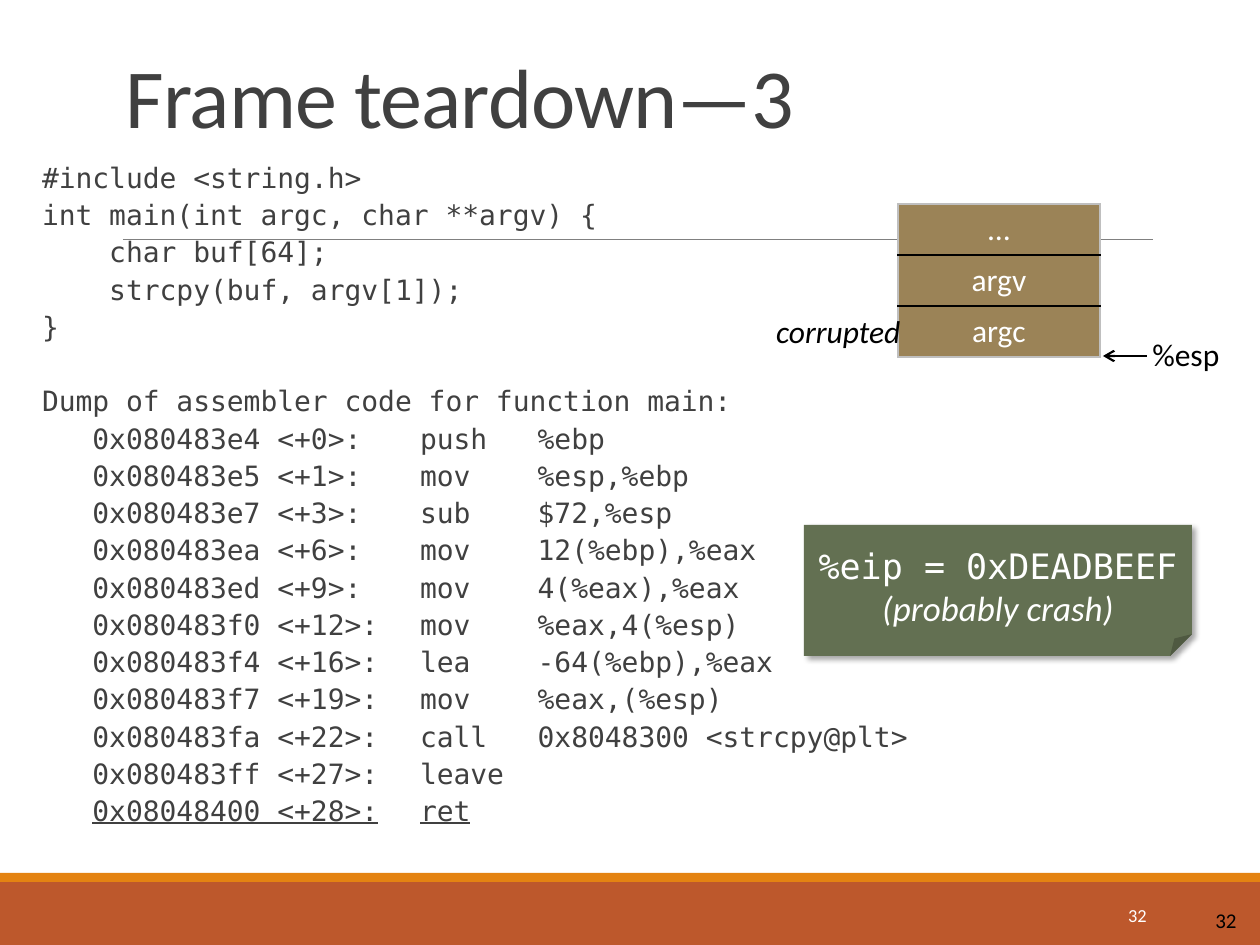
from lxml import etree
from pptx import Presentation, util as u
from pptx.dml.color import RGBColor
from pptx.enum import shapes, text
from pptx.oxml import ns

PX = 7257
SANS, MONO = "Calibri", "DejaVu Sans Mono"
LEFT, CENTER, RIGHT = text.PP_ALIGN.LEFT, text.PP_ALIGN.CENTER, text.PP_ALIGN.RIGHT
TOP, MIDDLE, BOTTOM = text.MSO_ANCHOR.TOP, text.MSO_ANCHOR.MIDDLE, text.MSO_ANCHOR.BOTTOM


def paint(fill, color):
    fill.solid()
    fill.fore_color.rgb = RGBColor.from_string(color)


def write(paragraph, words, size=18, color="000000", font=SANS, align=LEFT,
          italic=False, underline=False):
    paragraph.alignment = align
    run = paragraph.add_run()
    run.text = words
    run.font.name = font
    run.font.size = u.Pt(size)
    run.font.italic = italic
    run.font.underline = underline
    paint(run.font.fill, color)
    return run


presentation = Presentation()
presentation.slide_width = 1260 * PX
presentation.slide_height = 945 * PX
slide = presentation.slides.add_slide(presentation.slide_layouts[6])

for top, height, color in [(882, 63, "BD582C"), (873, 9, "E48312")]:
    band = slide.shapes.add_shape(shapes.MSO_SHAPE.RECTANGLE, 0, top * PX, 1260 * PX, height * PX)
    band.shadow.inherit = False
    paint(band.fill, color)
    band.line.fill.background()

connectors = []
for x1, y1, x2, y2, color, width in [
    (123, 239, 1153, 239, "808080", 0.5),
    (1147, 356, 1103, 356, "000000", 1.25),
]:
    connector = slide.shapes.add_connector(
        shapes.MSO_CONNECTOR.STRAIGHT, x1 * PX, y1 * PX, x2 * PX, y2 * PX)
    paint(connector.line.fill, color)
    connector.line.width = u.Pt(width)
    etree.SubElement(connector._element.spPr, ns.qn("a:effectLst"))
    connectors.append(connector)
etree.SubElement(connectors[1].line._get_or_add_ln(), ns.qn("a:tailEnd"), type="arrow")

title = slide.shapes.add_textbox(113 * PX, 39 * PX, 1040 * PX, 200 * PX)
title.text_frame.word_wrap = True
title.text_frame.vertical_anchor = BOTTOM
title.text_frame.margin_bottom = 93 * PX
paragraph = title.text_frame.paragraphs[0]
paragraph.line_spacing = 0.85
run = write(paragraph, "Frame teardown—3", size=48, color="404040")
run.font._element.set("spc", "-50")

source = """#include <string.h>
int main(int argc, char **argv) {
    char buf[64];
    strcpy(buf, argv[1]);
}"""
dump = """Dump of assembler code for function main:
   0x080483e4 <+0>:\tpush   %ebp
   0x080483e5 <+1>:\tmov    %esp,%ebp
   0x080483e7 <+3>:\tsub    $72,%esp
   0x080483ea <+6>:\tmov    12(%ebp),%eax
   0x080483ed <+9>:\tmov    4(%eax),%eax
   0x080483f0 <+12>:\tmov    %eax,4(%esp)
   0x080483f4 <+16>:\tlea    -64(%ebp),%eax
   0x080483f7 <+19>:\tmov    %eax,(%esp)
   0x080483fa <+22>:\tcall   0x8048300 <strcpy@plt>
   0x080483ff <+27>:\tleave"""
current_indent, current_instruction = "   ", "0x08048400 <+28>:\tret"

listing = slide.shapes.add_textbox(42 * PX, 158 * PX, 913 * PX, 746 * PX)
frame = listing.text_frame
frame.word_wrap = True
frame.margin_left = frame.margin_right = 0
code_format = dict(size=16, color="404040", font=MONO)
source_lines, dump_lines = source.split("\n"), dump.split("\n")
for index, line in enumerate(source_lines + dump_lines + [current_indent]):
    paragraph = frame.add_paragraph() if index else frame.paragraphs[0]
    paragraph.line_spacing = 0.9
    paragraph.space_after = u.Pt(2)
    if index:
        paragraph.space_before = u.Pt(23.3 if line == dump_lines[0] else 2)
    write(paragraph, line, **code_format)
write(paragraph, current_instruction, underline=True, **code_format)

stack = slide.shapes.add_table(3, 1, 898 * PX, 204 * PX, 202 * PX, 153 * PX).table
stack.first_row = stack.horz_banding = False
entries = ["…", "argv", "argc"]
for row, entry in enumerate(entries):
    stack.rows[row].height = 51 * PX
    cell = stack.cell(row, 0)
    properties = cell._tc.get_or_add_tcPr()
    inner_edges = {"lnT": row > 0, "lnB": row < len(entries) - 1}
    for edge in ["lnL", "lnR", "lnT", "lnB"]:
        border = etree.SubElement(properties, ns.qn(f"a:{edge}"), w="12700")
        solid = etree.SubElement(border, ns.qn("a:solidFill"))
        color = "000000" if inner_edges.get(edge) else "BFBFBF"
        etree.SubElement(solid, ns.qn("a:srgbClr"), val=color)
    paint(cell.fill, "9B8357")
    write(cell.text_frame.paragraphs[0], entry, color="FFFFFF", align=CENTER)

labels = [
    (1023, 890, 136, 50, MIDDLE, "32", dict(size=10.5, color="FFFFFF", align=RIGHT)),
    (955, 895, 294, 50, MIDDLE, "32", dict(size=12, align=RIGHT)),
    (1140, 329, 102, 50, TOP, "%esp", {}),
    (748, 306, 165, 50, TOP, "corrupted", dict(align=RIGHT, italic=True)),
]
for left, top, width, height, anchor, words, style in labels:
    label = slide.shapes.add_textbox(left * PX, top * PX, width * PX, height * PX)
    label.text_frame.word_wrap = anchor == MIDDLE
    label.text_frame.vertical_anchor = anchor
    write(label.text_frame.paragraphs[0], words, **style)

note = slide.shapes.add_shape(
    shapes.MSO_SHAPE.FOLDED_CORNER, 804 * PX, 525 * PX, 388 * PX, 131 * PX)
paint(note.fill, "637052")
note.line.fill.background()
note.shadow.inherit = False
effects = note._element.spPr.find(ns.qn("a:effectLst"))
shadow = etree.SubElement(effects, ns.qn("a:outerShdw"), blurRad=str(u.Pt(3.1)),
                          dist=str(u.Pt(2.8)), dir="2700000", algn="tl", rotWithShape="0")
shade = etree.SubElement(shadow, ns.qn("a:srgbClr"), val="000000")
etree.SubElement(shade, ns.qn("a:alpha"), val="35000")
frame = note.text_frame
frame.word_wrap = True
frame.vertical_anchor = TOP
frame.margin_top = 19 * PX
write(frame.paragraphs[0], "%eip = 0xDEADBEEF", size=20, color="FFFFFF", font=MONO, align=CENTER)
write(frame.add_paragraph(), "(probably crash)", size=20, color="FFFFFF", align=CENTER, italic=True)

presentation.save("out.pptx")
